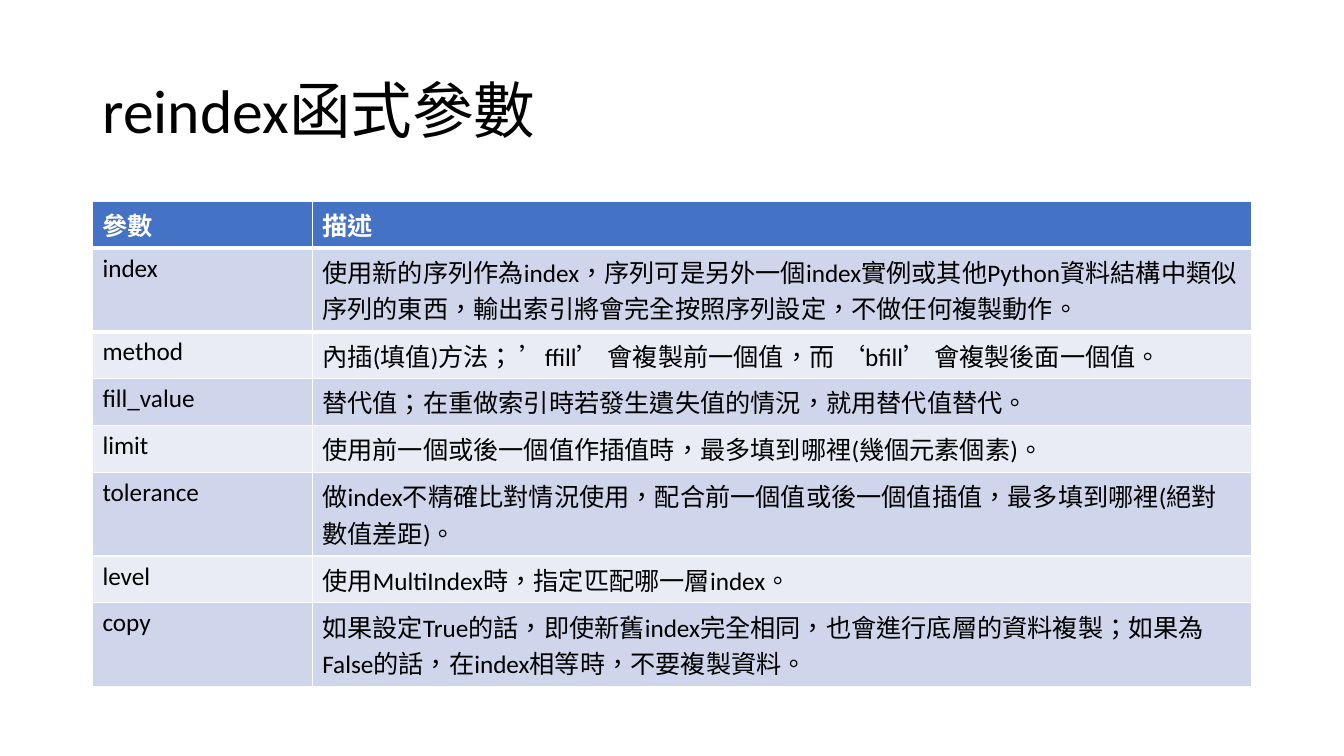
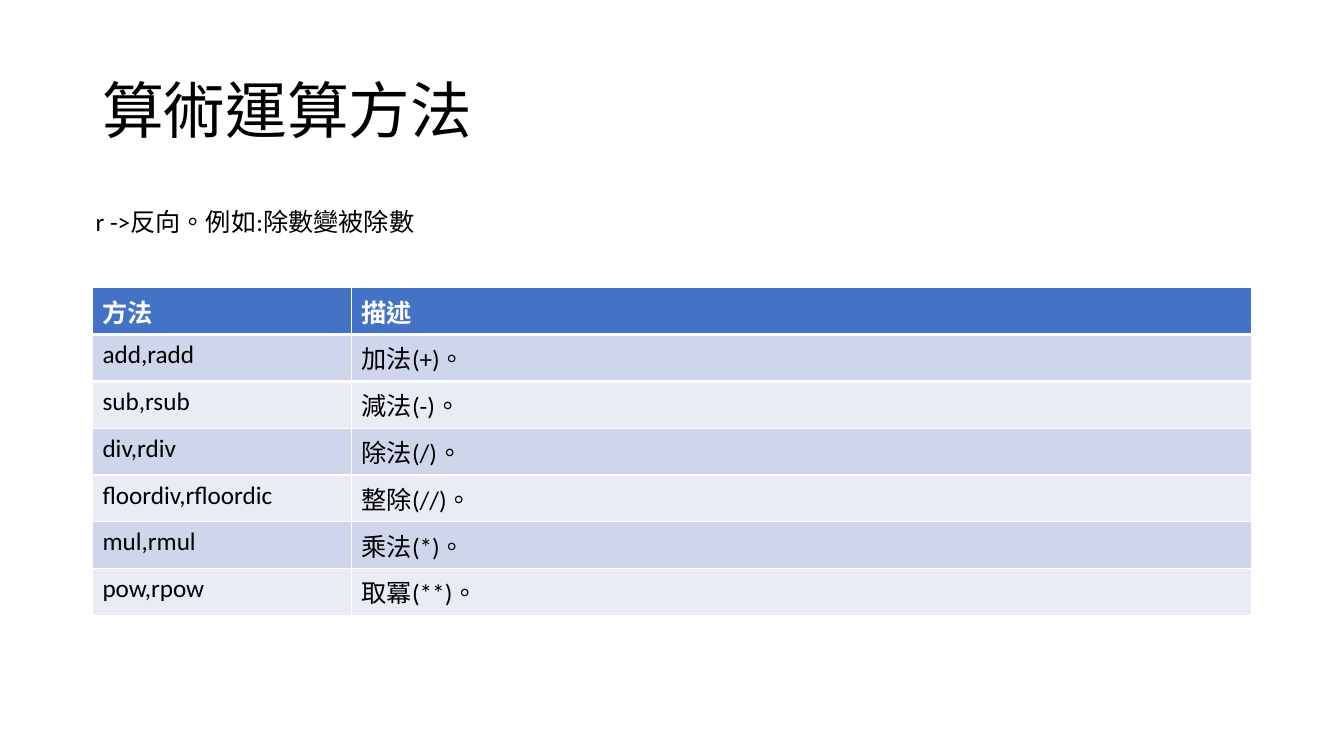
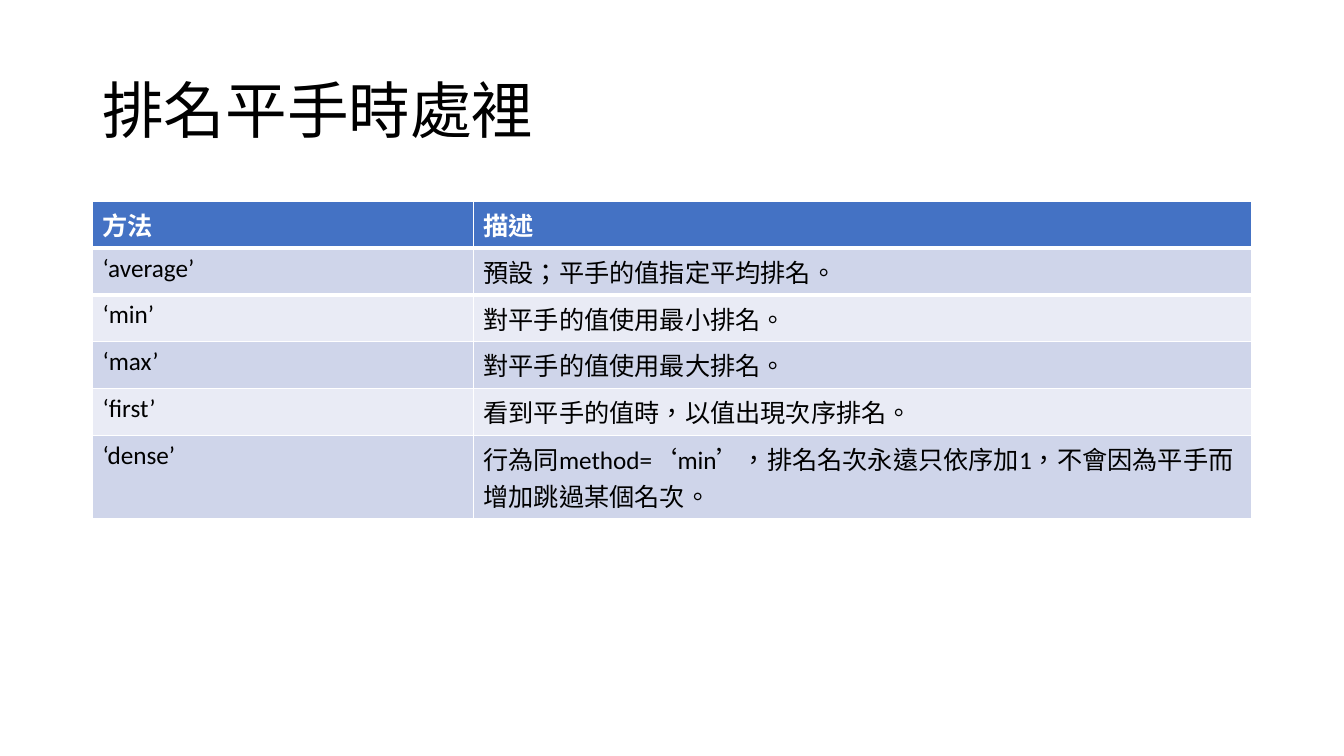
from lxml.etree import SubElement as Sub
from pptx import Presentation
from pptx.dml.color import RGBColor
from pptx.enum.lang import MSO_LANGUAGE_ID as Lang
from pptx.enum.text import MSO_ANCHOR as Anchor
from pptx.oxml.ns import qn
from pptx.util import Cm, Pt

BLACK = RGBColor(0x00, 0x00, 0x00)
WHITE = RGBColor(0xFF, 0xFF, 0xFF)
HEAD = RGBColor(0x44, 0x72, 0xC4)
ODD = RGBColor(0xCF, 0xD5, 0xEA)
EVEN = RGBColor(0xE9, 0xEB, 0xF5)
FACE = "Calibri"
LEFT, WIDTH, TOP = 2.33, 29.21, 5.07
ROW, TALL = 1.18, 2.11
LONG = {"index", "tolerance", "copy", "‘dense’"}  # rows of two lines

# Each page: title, note, table top, first column width, table rows
PAGES = [
    ("reindex函式參數", None, TOP, 5.54, [
        ("參數", "描述"),
        ("index", "使用新的序列作為index，序列可是另外一個index實例或其他Python"
                  "資料結構中類似序列的東西，輸出索引將會完全按照序列設定，"
                  "不做任何複製動作。"),
        ("method", "內插(填值)方法； ’ffill’ 會複製前一個值，"
                   "而 ‘bfill’ 會複製後面一個值。"),
        ("fill_value", "替代值；在重做索引時若發生遺失值的情況，就用替代值替代。"),
        ("limit", "使用前一個或後一個值作插值時，最多填到哪裡(幾個元素個素)。"),
        ("tolerance", "做index不精確比對情況使用，配合前一個值或後一個值插值，"
                      "最多填到哪裡(絕對數值差距)。"),
        ("level", "使用MultiIndex時，指定匹配哪一層index。"),
        ("copy", "如果設定True的話，即使新舊index完全相同，也會進行底層的"
                 "資料複製；如果為False的話，在index相等時，不要複製資料。"),
    ]),
    ("算術運算方法", "r ->反向。例如:除數變被除數", 7.25, 6.53, [
        ("方法", "描述"),
        ("add,radd", "加法(+)。"),
        ("sub,rsub", "減法(-)。"),
        ("div,rdiv", "除法(/)。"),
        ("floordiv,rfloordic", "整除(//)。"),
        ("mul,rmul", "乘法(*)。"),
        ("pow,rpow", "取冪(**)。"),
    ]),
    ("排名平手時處裡", None, TOP, 9.6, [
        ("方法", "描述"),
        ("‘average’", "預設；平手的值指定平均排名。"),
        ("‘min’", "對平手的值使用最小排名。"),
        ("‘max’", "對平手的值使用最大排名。"),
        ("‘first’", "看到平手的值時，以值出現次序排名。"),
        ("‘dense’", "行為同method=‘min’，排名名次永遠只依序加1，"
                    "不會因為平手而增加跳過某個名次。"),
    ]),
]


def write(frame, text, size=18, color=BLACK, bold=False):
    """Put one styled paragraph in a text frame and return it."""
    frame.word_wrap = True
    para = frame.paragraphs[0]
    para.text = text
    font = para.font
    font.name, font.size, font.bold = FACE, Pt(size), bold
    font.color.rgb = color
    font.language_id = Lang.TRADITIONAL_CHINESE
    return para


def add_box(slide, left, top, width, height):
    """Add a text box measured in centimetres and return its frame."""
    box = slide.shapes.add_textbox(Cm(left), Cm(top), Cm(width), Cm(height))
    return box.text_frame


deck = Presentation()
deck.slide_width, deck.slide_height = Cm(33.87), Cm(19.05)
blank = deck.slide_layouts[6]

for title, note, top, first, rows in PAGES:
    slide = deck.slides.add_slide(blank)
    frame = add_box(slide, LEFT, 1.01, WIDTH, 3.68)
    frame.vertical_anchor = Anchor.MIDDLE
    write(frame, title, 44).line_spacing = 0.9

    # The default table style draws the thin white rules
    table = slide.shapes.add_table(
        len(rows), 2, Cm(LEFT), Cm(top), Cm(WIDTH), Cm(ROW * len(rows))).table
    table.columns[0].width = Cm(first)
    table.columns[1].width = Cm(WIDTH - first)
    for r, row in enumerate(rows):
        table.rows[r].height = Cm(TALL if row[0] in LONG else ROW)
        fill = HEAD if r == 0 else ODD if r % 2 else EVEN
        for c, text in enumerate(row):
            cell = table.cell(r, c)
            write(cell.text_frame, text, color=BLACK if r else WHITE, bold=r == 0)
            # A thick rule parts the header from the body
            if r < 2:
                props = cell._tc.get_or_add_tcPr()
                rule = Sub(props, qn("a:lnT" if r else "a:lnB"), w=str(Pt(3)))
                paint = Sub(rule, qn("a:solidFill"))
                Sub(paint, qn("a:srgbClr"), val=str(WHITE))
            cell.fill.solid()
            cell.fill.fore_color.rgb = fill

    if note:
        write(add_box(slide, 2.16, TOP, 16.93, 1.03), note)

deck.save("out.pptx")
